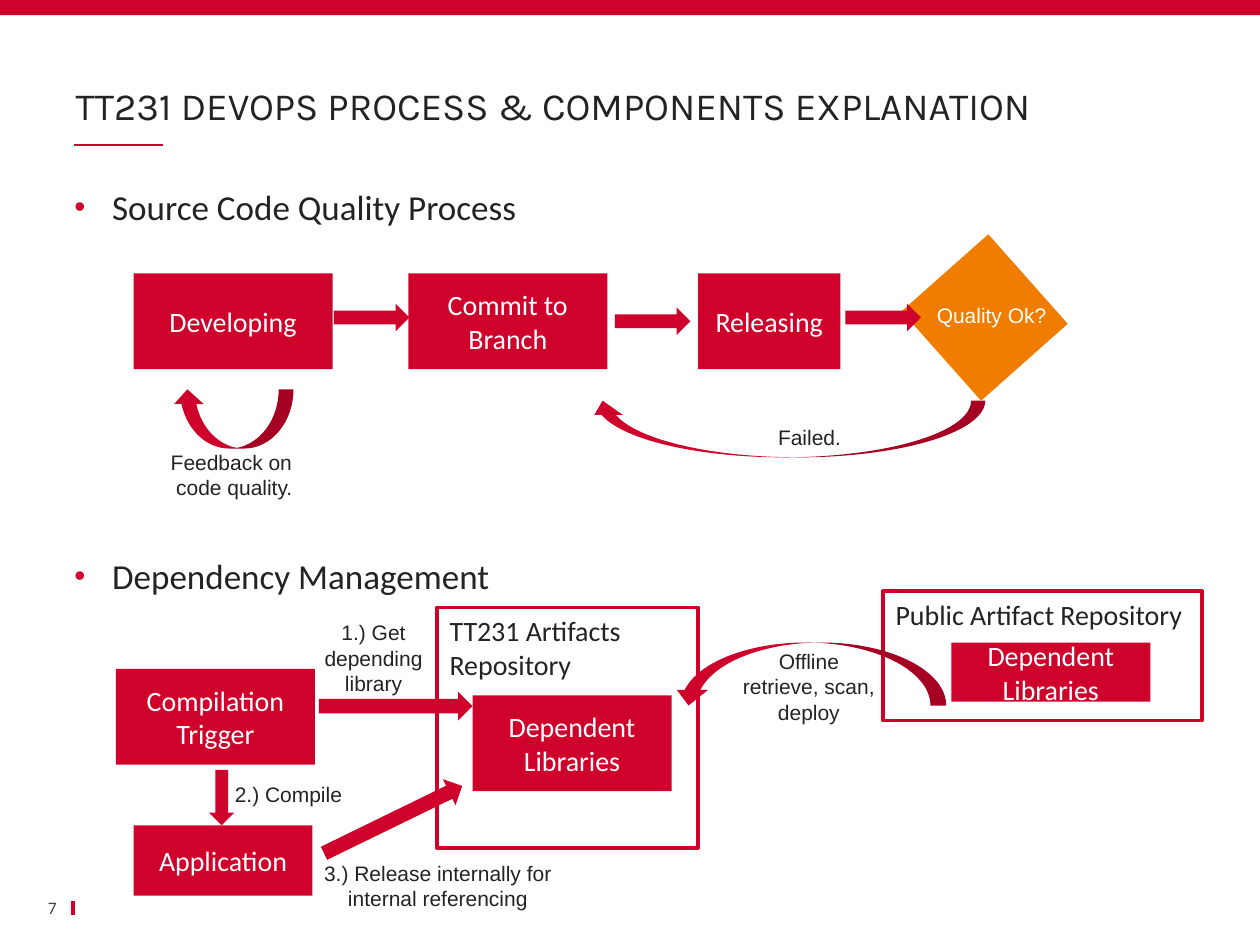
from dataclasses import dataclass

from lxml.etree import SubElement
from pptx import Presentation
from pptx.dml.color import RGBColor
from pptx.enum.shapes import MSO_CONNECTOR, MSO_SHAPE as Preset
from pptx.enum.text import MSO_ANCHOR as Anchor, PP_ALIGN as Align
from pptx.oxml.ns import qn
from pptx.util import Inches, Pt

COLORS = {"red": "CF022B", "orange": "F07D00", "white": "FFFFFF",
          "dark": "232323", "gray": "464646"}


def color(name: str) -> RGBColor:
    return RGBColor.from_string(COLORS[name])


@dataclass
class Box:
    text: str
    left: float
    top: float
    width: float = 1.58
    height: float = 0.76


@dataclass
class Arrow:
    left: float
    top: float
    width: float = 0.6
    height: float = 0.22
    rotation: float = 0
    preset: Preset = Preset.RIGHT_ARROW
    flips: tuple = ()


@dataclass
class Label:
    text: str
    left: float
    top: float
    width: float
    height: float
    wrap: bool = True
    size: float = 12
    font: str = "Arial"
    color: str = "dark"
    align: Align = Align.CENTER
    anchor: Anchor = Anchor.TOP
    margins: tuple = (0.1, 0.05)
    line_spacing: float = 1


def write(shape, text: str, font: str, size: float, ink: str, align: Align,
          anchor: Anchor, wrap: bool = True) -> None:
    frame = shape.text_frame
    frame.text = text
    frame.word_wrap = wrap
    frame.vertical_anchor = anchor
    for paragraph in frame.paragraphs:
        paragraph.alignment = align
        paragraph.font.name = font
        paragraph.font.size = Pt(size)
        paragraph.font.color.rgb = color(ink)


def add_filled(slide, preset: Preset, left: float, top: float, width: float,
               height: float, fill: str = "red"):
    shape = slide.shapes.add_shape(preset, Inches(left), Inches(top),
                                   Inches(width), Inches(height))
    shape.shadow.inherit = False
    shape.fill.solid()
    shape.fill.fore_color.rgb = color(fill)
    shape.line.fill.background()
    return shape


def add_box(slide, box: Box) -> None:
    shape = add_filled(slide, Preset.RECTANGLE, box.left, box.top, box.width, box.height)
    write(shape, box.text, "Calibri", 16, "white", Align.CENTER, Anchor.MIDDLE)


def add_repository(slide, box: Box) -> None:
    shape = add_filled(slide, Preset.RECTANGLE, box.left, box.top,
                       box.width, box.height, "white")
    shape.line.color.rgb = color("red")
    shape.line.width = Pt(2)
    write(shape, box.text, "Calibri", 16, "dark", Align.LEFT, Anchor.TOP)


def add_arrow(slide, arrow: Arrow) -> None:
    shape = add_filled(slide, arrow.preset, arrow.left, arrow.top,
                       arrow.width, arrow.height)
    shape.rotation = arrow.rotation
    for flip in arrow.flips:
        shape._element.spPr.find(qn("a:xfrm")).set(flip, "1")


def add_label(slide, label: Label):
    shape = slide.shapes.add_textbox(Inches(label.left), Inches(label.top),
                                     Inches(label.width), Inches(label.height))
    write(shape, label.text, label.font, label.size, label.color,
          label.align, label.anchor, label.wrap)
    frame = shape.text_frame
    frame.margin_left = frame.margin_right = Inches(label.margins[0])
    frame.margin_top = frame.margin_bottom = Inches(label.margins[1])
    for paragraph in frame.paragraphs:
        paragraph.line_spacing = label.line_spacing
    return shape


def add_heading(slide, text: str, top: float) -> None:
    shape = add_label(slide, Label(text, 0.59, top, 8.85, 0.35, size=20, font="Calibri",
                                   align=Align.LEFT, margins=(0, 0)))
    properties = shape.text_frame.paragraphs[0]._p.get_or_add_pPr()
    properties.set("marL", str(Inches(0.3)))
    properties.set("indent", str(Inches(-0.3)))
    bullet = [("a:buSzPct", "val", "90000"), ("a:buFont", "typeface", "Arial"),
              ("a:buChar", "char", "•")]
    # The schema wants bullet parts ahead of the default run properties
    defaults = properties.find(qn("a:defRPr"))
    bullet_color = SubElement(properties, qn("a:buClr"))
    SubElement(bullet_color, qn("a:srgbClr")).set("val", COLORS["red"])
    for tag, key, value in bullet:
        SubElement(properties, qn(tag)).set(key, value)
    if defaults is not None:
        properties.append(defaults)


def add_rule(slide, start: tuple, end: tuple, width: float) -> None:
    line = slide.shapes.add_connector(MSO_CONNECTOR.STRAIGHT,
                                      *(Inches(value) for value in start + end))
    line.line.color.rgb = color("red")
    line.line.width = Pt(width)
    SubElement(line._element.spPr, qn("a:effectLst"))


STEPS = [Box("Developing", 1.06, 2.17), Box("Commit to Branch", 3.24, 2.17),
         Box("Releasing", 5.54, 2.17, 1.13)]
STEP_ARROWS = [Arrow(2.65, 2.41), Arrow(4.88, 2.44), Arrow(6.71, 2.41),
               Arrow(1.37, 3.09, 0.96, 0.47, 0, Preset.CURVED_UP_ARROW, ("flipH",)),
               Arrow(4.67, 3.18, 3.15, 0.45, 0, Preset.CURVED_UP_ARROW, ("flipH",))]
STEP_LABELS = [Label("Quality Ok?", 7.33, 2.35, 1.08, 0.3, False, color="white"),
               Label("Failed.", 6.07, 3.32, 0.71, 0.3, False),
               Label("Feedback on \ncode quality.", 1.25, 3.52, 1.22, 0.5, False)]

TEAM_REPOSITORY = Box("TT231 Artifacts Repository", 3.47, 4.82, 2.07, 1.91)
PUBLIC_REPOSITORY = Box("Public Artifact Repository", 7.01, 4.69, 2.53, 1.03)
COMPONENTS = [Box("Compilation Trigger", 0.92, 5.31), Box("Dependent Libraries", 3.75, 5.52),
              Box("Application", 1.06, 6.55, 1.42, 0.56),
              Box("Dependent Libraries", 7.55, 5.1, 1.58, 0.47)]
COMPONENT_ARROWS = [Arrow(2.53, 5.49, 1.22, 0.23), Arrow(1.54, 6.23, 0.44, 0.2, 90),
                    Arrow(2.51, 6.39, 1.22, 0.23, 334),
                    Arrow(5.34, 5.1, 2.17, 0.5, 0, Preset.CURVED_UP_ARROW,
                          ("flipH", "flipV"))]
COMPONENT_LABELS = [
    Label("1.) Get depending library", 2.46, 4.87, 1.01, 0.71),
    Label("2.) Compile", 1.66, 6.15, 1.26, 0.3),
    Label("Offline retrieve, scan, deploy", 5.79, 5.1, 1.26, 0.71),
    Label("3.) Release internally for internal referencing", 2.45, 6.78, 2.05, 0.5)]


def main() -> None:
    presentation = Presentation()
    presentation.slide_width, presentation.slide_height = Inches(10), Inches(7.5)
    slide = presentation.slides.add_slide(presentation.slide_layouts[6])

    # Page frame: top band, title with rule, page number with mark
    add_filled(slide, Preset.RECTANGLE, 0, 0, 10, 0.12)
    add_rule(slide, (0.59, 1.15), (1.29, 1.15), 1)
    add_rule(slide, (0.58, 7.15), (0.58, 7.26), 2.25)
    add_label(slide, Label("TT231 DEVOPS PROCESS & COMPONENTS EXPLANATION", 0.6, 0.21, 8.8, 0.86,
                           size=22, font="Karla", align=Align.LEFT, anchor=Anchor.BOTTOM,
                           margins=(0, 0.05), line_spacing=0.9))
    add_label(slide, Label("7", 0.13, 7.11, 0.32, 0.18, size=10, font="Calibri", color="gray",
                           align=Align.RIGHT, anchor=Anchor.MIDDLE, margins=(0, 0.05)))

    # Source code quality process
    add_heading(slide, "Source Code Quality Process", 1.47)
    decision = add_filled(slide, Preset.RECTANGLE, 7.34, 2.06, 0.95, 0.92, "orange")
    decision.rotation = 48.4
    for step in STEPS:
        add_box(slide, step)
    for arrow in STEP_ARROWS:
        add_arrow(slide, arrow)
    for label in STEP_LABELS:
        add_label(slide, label)

    # Dependency management
    add_repository(slide, TEAM_REPOSITORY)
    add_repository(slide, PUBLIC_REPOSITORY)
    add_heading(slide, "Dependency Management", 4.4)
    for component in COMPONENTS:
        add_box(slide, component)
    for arrow in COMPONENT_ARROWS:
        add_arrow(slide, arrow)
    for label in COMPONENT_LABELS:
        add_label(slide, label)

    presentation.save("out.pptx")


if __name__ == "__main__":
    main()
